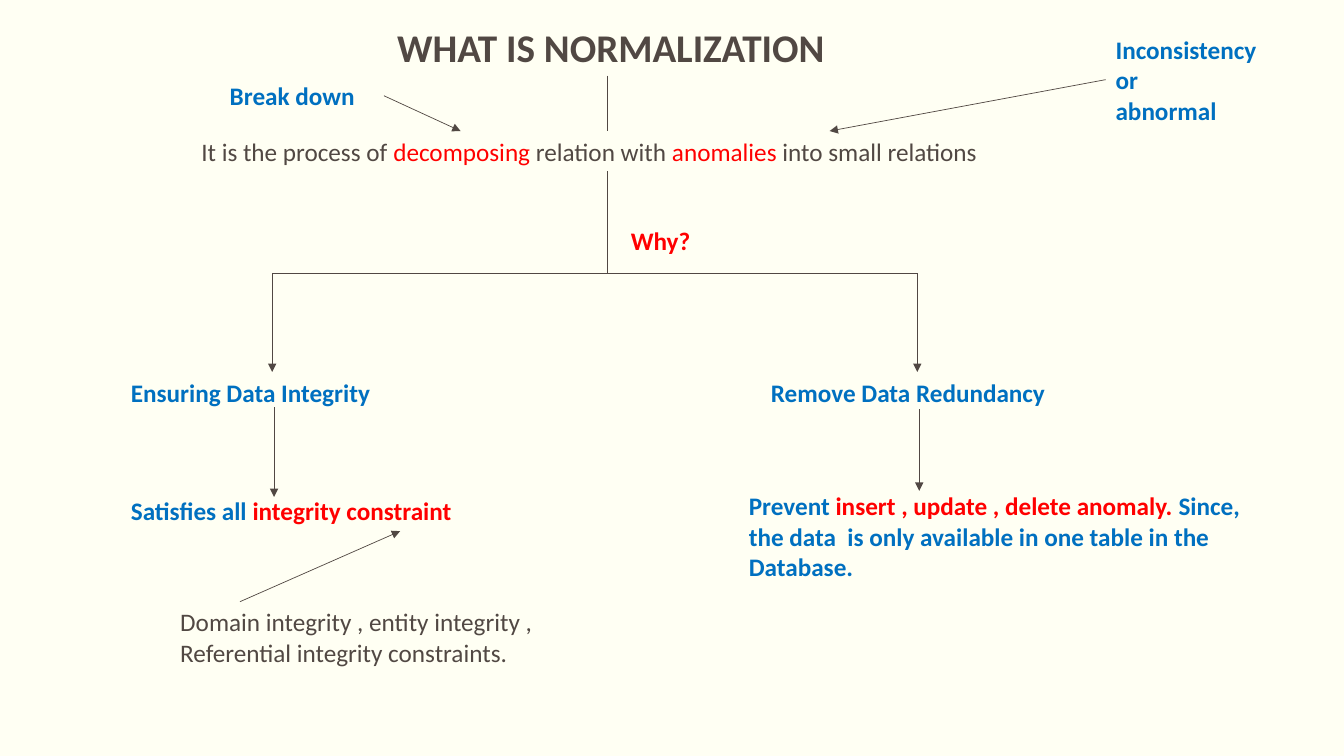
from dataclasses import dataclass

from lxml import etree
from pptx import Presentation
from pptx.dml.color import RGBColor
from pptx.enum import shapes, text
from pptx.oxml import ns
from pptx.util import Pt


@dataclass(frozen=True)
class Theme:
    font: str = "Calibri"
    paper: str = "FFFFF3"
    ink: str = "514843"
    blue: str = "0070C0"
    red: str = "FF0000"
    head: float = 28
    body: float = 18
    rule: float = 0.5


THEME = Theme()


def place(shape, left, top, width, height):
    shape.left, shape.top = Pt(left), Pt(top)
    shape.width, shape.height = Pt(width), Pt(height)


def style(run, color, size, bold):
    font = run.font
    font.name = THEME.font
    font.size = Pt(size)
    font.bold = bold
    font.color.rgb = RGBColor.from_string(color)


def title(slide, words, box):
    shape = slide.shapes.title
    place(shape, *box)
    frame = shape.text_frame
    frame.text = words
    frame.word_wrap = True
    frame.auto_size = text.MSO_AUTO_SIZE.NONE
    frame.vertical_anchor = text.MSO_ANCHOR.TOP
    para = frame.paragraphs[0]
    para.alignment = text.PP_ALIGN.LEFT
    style(para.runs[0], THEME.ink, THEME.head, True)


def label(slide, box, lines, color=THEME.blue, bold=True):
    frame = slide.shapes.add_textbox(*map(Pt, box)).text_frame
    frame.word_wrap = True
    for i, line in enumerate(lines):
        para = frame.add_paragraph() if i else frame.paragraphs[0]
        parts = [line] if isinstance(line, str) else line
        for part in parts:
            words, tint = (part, color) if isinstance(part, str) else part
            run = para.add_run()
            run.text = words
            style(run, tint, THEME.body, bold)


def link(slide, start, end, arrow=True):
    line = slide.shapes.add_connector(
        shapes.MSO_CONNECTOR.STRAIGHT, *map(Pt, start + end))
    line.line.color.rgb = RGBColor.from_string(THEME.ink)
    line.line.width = Pt(THEME.rule)
    props = line._element.spPr
    if arrow:
        etree.SubElement(props.find(ns.qn("a:ln")), ns.qn("a:tailEnd"), type="triangle")
    etree.SubElement(props, ns.qn("a:effectLst"))


def tree(slide, trunk, bar, tops, ends, leaf):
    for top, base in tops:
        link(slide, (trunk, top), (trunk, base), arrow=False)
    link(slide, (ends[0], bar), (ends[1], bar), arrow=False)
    for x in ends:
        link(slide, (x, bar), (x, leaf))


def main():
    deck = Presentation()
    deck.slide_width, deck.slide_height = Pt(960), Pt(540)
    slide = deck.slides.add_slide(deck.slide_layouts[5])
    fill = slide.background.fill
    fill.solid()
    fill.fore_color.rgb = RGBColor.from_string(THEME.paper)

    title(slide, "WHAT IS NORMALIZATION", (276.5, 13, 374.5, 41))
    label(slide, (136.8, 93.6, 676, 29), [[
        "It is the process of ", ("decomposing", THEME.red), " relation with ",
        ("anomalies", THEME.red), " into small relations"]], THEME.ink, False)
    label(slide, (157, 54, 117.5, 29), ["Break down"])
    label(slide, (789.8, 21, 141, 72.7), ["Inconsistency", "or", "abnormal"])
    label(slide, (443.5, 157.7, 64, 29), ["Why?"], THEME.red)
    label(slide, (86.4, 265.7, 214.6, 29), ["Ensuring Data Integrity"])
    label(slide, (543.6, 265.7, 244, 29), ["Remove Data Redundancy"])
    label(slide, (86.4, 350.6, 284.4, 29), [
        ["Satisfies all ", ("integrity constraint", THEME.red)]])
    label(slide, (527.8, 347, 419, 72.7), [
        ["Prevent ", ("insert , update , delete anomaly.", THEME.red), " Since,"],
        "the data  is only available in one table in the", "Database."])
    label(slide, (121.7, 429.8, 283, 51), [
        "Domain integrity , entity integrity ,",
        "Referential integrity constraints."], THEME.ink, False)

    tree(slide, 434.2, 195.1, [(54, 93.6), (122.4, 195.1)], (194.4, 655.2), 265.7)
    for start, end in [
        ((274.3, 68.4), (329, 93.6)),
        ((789.8, 56.9), (592.6, 93.6)),
        ((195.8, 290.9), (195.8, 355)),
        ((656.6, 292.3), (656.6, 350.6)),
        ((171.4, 429.8), (285.8, 379.4)),
    ]:
        link(slide, start, end)
    deck.save("out.pptx")


if __name__ == "__main__":
    main()
